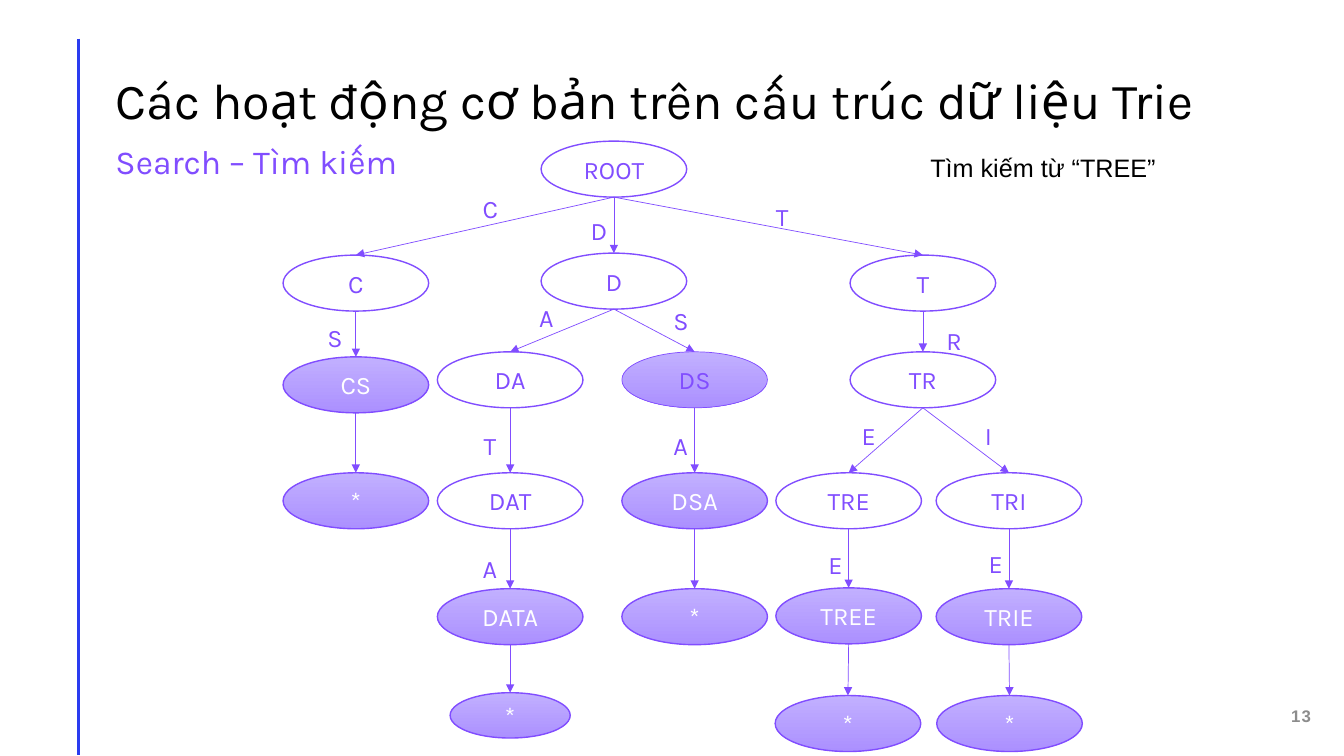
from lxml.etree import SubElement
from pptx import Presentation
from pptx.dml.color import RGBColor
from pptx.enum.shapes import MSO_CONNECTOR as Connector, MSO_SHAPE as Shape
from pptx.enum.text import MSO_ANCHOR as Anchor, PP_ALIGN as Align
from pptx.oxml import parse_xml
from pptx.oxml.ns import nsdecls, qn
from pptx.util import Pt

BLACK = RGBColor(0x00, 0x00, 0x00)
WHITE = RGBColor(0xFF, 0xFF, 0xFF)
GREY = RGBColor(0x8C, 0x8C, 0x8C)
PURPLE = RGBColor(0x81, 0x4D, 0xFF)
LILAC_TOP = RGBColor(0xC2, 0xB0, 0xFF)
LILAC_BOTTOM = RGBColor(0xAB, 0x90, 0xFF)
RULE_BLUE = RGBColor(0x2A, 0x3C, 0xF0)

NODE_SIZE = (104, 40)
SMALL_SIZE = (85.8, 32.4)
LABEL_SIZE = (21, 24)
TEXT_INSET = (7.2, 3.6)
ELLIPSE_TOP, ELLIPSE_BOTTOM = 0, 4

# Style: fill colours from top to bottom, line width, text colour
OPEN = ((WHITE,), 1, PURPLE)
WORD = ((LILAC_TOP, LILAC_BOTTOM), 1, WHITE)
PREFIX_WORD = ((LILAC_TOP, LILAC_BOTTOM), 0.5, PURPLE)

# Column centres and row tops of the tree
COL_C, COL_DA, COL_D, COL_DS = 254.2, 364.4, 438.5, 496.2
COL_TRE, COL_T, COL_TRI = 606.2, 659.2, 720.7
ROW_2, ROW_3, ROW_4, ROW_5, ROW_6 = 182.2, 251.3, 337.7, 420.5, 496.8

# Key: centre, top, style; the text is the key, and "*" for an end mark
NODES = {
    "ROOT": (COL_D, 100.8, OPEN),
    "C": (COL_C, ROW_2, OPEN),
    "CS": (COL_C, 254.9, WORD),
    "CS*": (COL_C, ROW_4, WORD),
    "D": (COL_D, 180.8, OPEN),
    "DA": (COL_DA, ROW_3, OPEN),
    "DAT": (COL_DA, ROW_4, OPEN),
    "DATA": (COL_DA, ROW_5, WORD),
    "DATA*": (COL_DA, 494.8, WORD),
    "DS": (COL_DS, ROW_3, PREFIX_WORD),
    "DSA": (COL_DS, ROW_4, WORD),
    "DSA*": (COL_DS, ROW_5, WORD),
    "T": (COL_T, ROW_2, OPEN),
    "TR": (COL_T, ROW_3, OPEN),
    "TRE": (COL_TRE, ROW_4, OPEN),
    "TREE": (COL_TRE, ROW_5 - 0.6, WORD),
    "TREE*": (COL_TRE - 0.5, ROW_6, WORD),
    "TRI": (COL_TRI, ROW_4, OPEN),
    "TRIE": (COL_TRI, ROW_5, WORD),
    "TRIE*": (COL_TRI + 0.4, ROW_6, WORD),
}

# Left and top of the letter beside the arrow into a node
LABELS = {
    "C": (337.7, 136.7), "D": (414.7, 152.9), "T": (547.2, 142.6),
    "CS": (226.8, 229), "DA": (378, 214.6), "DS": (473.8, 216.7),
    "DAT": (338.4, 306), "DATA": (337.7, 393.8), "DSA": (473.8, 306),
    "TR": (668.9, 231.1), "TRE": (608.4, 298.8), "TRI": (695.5, 298.8),
    "TREE": (584.6, 391), "TRIE": (699.1, 390.2),
}


def write(shape, text, size, color, font="Karla", align=Align.CENTER,
          anchor=Anchor.MIDDLE, wrap=True, inset=TEXT_INSET):
    frame = shape.text_frame
    frame.word_wrap = wrap
    frame.vertical_anchor = anchor
    frame.margin_left = frame.margin_right = Pt(inset[0])
    frame.margin_top = frame.margin_bottom = Pt(inset[1])
    paragraph = frame.paragraphs[0]
    paragraph.text = text
    paragraph.alignment = align
    paragraph.font.name = font
    paragraph.font.size = Pt(size)
    paragraph.font.color.rgb = color
    return paragraph


def add_text(slide, left, top, width, height, text, size, color, **options):
    box = slide.shapes.add_textbox(Pt(left), Pt(top), Pt(width), Pt(height))
    return write(box, text, size, color, **options)


def add_node(slide, text, center, top, style, size):
    fills, line_width, text_color = style
    width, height = size
    node = slide.shapes.add_shape(Shape.OVAL, Pt(center - width / 2), Pt(top),
                                  Pt(width), Pt(height))
    node.shadow.inherit = False
    if len(fills) == 1:
        node.fill.solid()
        node.fill.fore_color.rgb = fills[0]
    else:
        node.fill.gradient()
        node.fill.gradient_angle = 270
        for stop, color in zip(node.fill.gradient_stops, fills):
            stop.color.rgb = color
    node.line.color.rgb = PURPLE
    node.line.width = Pt(line_width)
    write(node, text, 18, text_color, inset=(0, 0))
    return node


def add_line(slide, start, end, color, width):
    line = slide.shapes.add_connector(Connector.STRAIGHT, *start, *end)
    line.line.color.rgb = color
    line.line.width = Pt(width)
    SubElement(line._element.spPr, qn("a:effectLst"))
    return line


def add_arrow(slide, parent, child):
    start = (parent.left + parent.width // 2, parent.top + parent.height)
    end = (child.left + child.width // 2, child.top)
    arrow = add_line(slide, start, end, PURPLE, 0.5)
    outline = arrow._element.spPr.find(qn("a:ln"))
    SubElement(outline, qn("a:tailEnd"), type="triangle")
    # An ellipse has eight joints, so the bottom one is set in XML
    arrow.end_connect(child, ELLIPSE_TOP)
    joints = arrow._element.find(".//" + qn("p:cNvCxnSpPr"))
    joints.insert(0, parse_xml(
        f'<a:stCxn {nsdecls("a")} id="{parent.shape_id}" idx="{ELLIPSE_BOTTOM}"/>'))


def add_headings(slide):
    add_line(slide, (Pt(56.2), Pt(27.6)), (Pt(56.2), Pt(539.6)), RULE_BLUE, 2)
    plain = dict(align=Align.LEFT, anchor=Anchor.TOP)
    add_text(slide, 75.4, 46, 809.3, 51, "Các hoạt động cơ bản trên cấu trúc dữ liệu Trie",
             36, BLACK, **plain)
    add_text(slide, 75.4, 97.2, 284.4, 36, "Search – Tìm kiếm", 24, PURPLE, **plain)
    add_text(slide, 657.4, 105.1, 185.8, 29, "Tìm kiếm từ “TREE”", 18, BLACK,
             font="Arial", **plain)
    number = add_text(slide, 727.6, 496.8, 216, 28.8, "13", 12, GREY, font="Arial",
                      align=Align.RIGHT)
    number.font.bold = True
    number.runs[0].font._element.set("spc", "100")


def add_trie(slide):
    nodes = {}
    for key, (center, top, style) in NODES.items():
        text = "*" if key.endswith("*") else key
        size = SMALL_SIZE if key == "DATA*" else NODE_SIZE
        nodes[key] = add_node(slide, text, center, top, style, size)
    # The parent of a node is its key without the last letter
    for key, node in nodes.items():
        if key != "ROOT":
            add_arrow(slide, nodes[key[:-1] or "ROOT"], node)
    for key, (left, top) in LABELS.items():
        add_text(slide, left, top, *LABEL_SIZE, key[-1], 18, PURPLE)


def main():
    presentation = Presentation()
    presentation.slide_width = Pt(960)
    presentation.slide_height = Pt(540)
    slide = presentation.slides.add_slide(presentation.slide_layouts[6])
    add_headings(slide)
    add_trie(slide)
    presentation.save("out.pptx")


if __name__ == "__main__":
    main()
